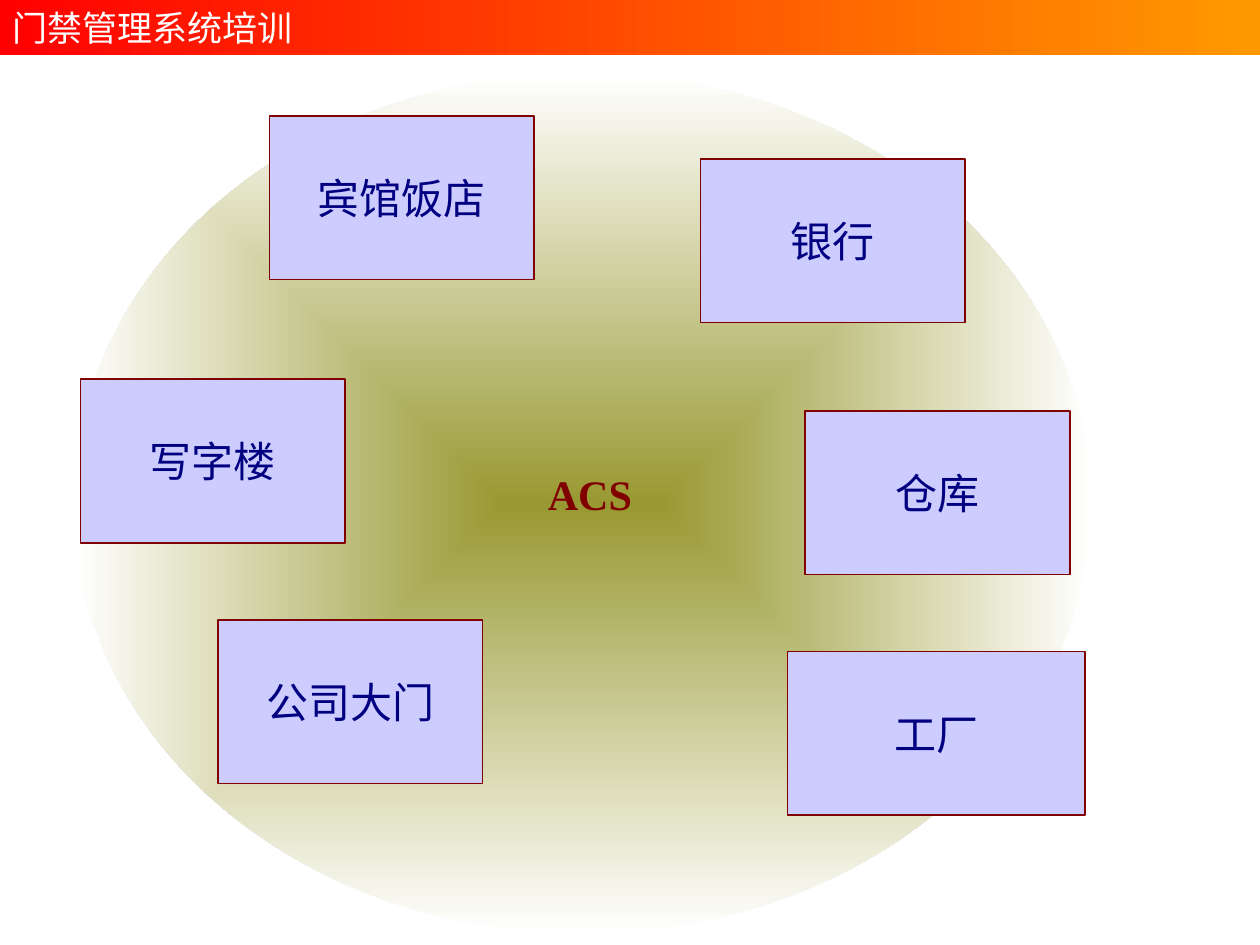
from dataclasses import dataclass

from lxml.etree import SubElement
from pptx import Presentation
from pptx.dml.color import RGBColor
from pptx.enum.shapes import MSO_SHAPE
from pptx.enum.text import MSO_ANCHOR, PP_ALIGN
from pptx.oxml.ns import qn
from pptx.shapes.autoshape import Shape
from pptx.slide import Slide
from pptx.text.text import _Run
from pptx.util import Inches, Pt

COLOURS = {
    "header_right": "FF9900", "header_left": "FF0000", "header_text": "FFFFFF",
    "olive": "999933", "white": "FFFFFF",
    "site_fill": "CCCCFF", "site_text": "000080", "maroon": "800000",
}
SERIF = "Times New Roman"


@dataclass
class Site:
    """A place where access control is used."""
    name: str
    left: float
    top: float
    width: float = 2.1
    height: float = 1.3


SITES = [
    Site("宾馆饭店", 2.14, 0.92),
    Site("写字楼", 0.64, 3.01),
    Site("公司大门", 1.73, 4.92),
    Site("银行", 5.56, 1.26),
    Site("工厂", 6.25, 5.17, width=2.36),
    Site("仓库", 6.39, 3.26),
]


def colour(key: str) -> RGBColor:
    """Return the named colour."""
    return RGBColor.from_string(COLOURS[key])


def add_block(slide: Slide, preset: MSO_SHAPE, left: float, top: float,
              width: float, height: float) -> Shape:
    """Add a preset shape without shadow or outline."""
    block = slide.shapes.add_shape(
        preset, Inches(left), Inches(top), Inches(width), Inches(height))
    block.shadow.inherit = False
    block.line.fill.background()
    return block


def set_gradient(block: Shape, start: str, end: str) -> None:
    """Fill a shape with a two-colour gradient running right to left."""
    block.fill.gradient()
    block.fill.gradient_angle = 180
    for stop, key in zip(block.fill.gradient_stops, (start, end)):
        stop.color.rgb = colour(key)


def radiate_from_centre(block: Shape) -> None:
    """Turn a linear gradient into a rectangular one around the centre."""
    gradient = block._element.spPr.find(qn("a:gradFill"))
    gradient.remove(gradient.find(qn("a:lin")))
    shade = SubElement(gradient, qn("a:path"), {"path": "rect"})
    SubElement(shade, qn("a:fillToRect"), {side: "50000" for side in "ltrb"})


def style_run(run: _Run, size: int, key: str, font: str = SERIF,
              bold: bool = False) -> None:
    """Set the font of a run."""
    run.font.name = font
    run.font.size = Pt(size)
    run.font.bold = bold
    run.font.color.rgb = colour(key)


def add_header(slide: Slide) -> None:
    """Draw the gradient title bar."""
    header = add_block(slide, MSO_SHAPE.RECTANGLE, 0, 0, 10, 0.44)
    set_gradient(header, "header_right", "header_left")
    header.text_frame.vertical_anchor = MSO_ANCHOR.MIDDLE
    title = header.text_frame.paragraphs[0]
    title.alignment = PP_ALIGN.LEFT
    for words, font in (("门禁管理", "Quicksand"), ("系统培训", SERIF)):
        run = title.add_run()
        run.text = words
        style_run(run, 20, "header_text", font)


def add_site(slide: Slide, site: Site) -> None:
    """Draw the labelled box of one site."""
    box = add_block(slide, MSO_SHAPE.RECTANGLE, site.left, site.top,
                    site.width, site.height)
    box.fill.solid()
    box.fill.fore_color.rgb = colour("site_fill")
    box.line.color.rgb = colour("maroon")
    box.line.width = Pt(1)
    box.text_frame.vertical_anchor = MSO_ANCHOR.MIDDLE
    box.text_frame.text = site.name
    label = box.text_frame.paragraphs[0]
    label.alignment = PP_ALIGN.CENTER
    style_run(label.runs[0], 24, "site_text")


def add_hub_label(slide: Slide) -> None:
    """Write the system name in the middle of the ellipse."""
    hub = slide.shapes.add_textbox(
        Inches(4.25), Inches(3.67), Inches(0.87), Inches(0.5))
    hub.text_frame.word_wrap = False
    hub.text_frame.text = "ACS"
    style_run(hub.text_frame.paragraphs[0].runs[0], 24, "maroon", bold=True)


def main() -> None:
    """Build and save the slide."""
    deck = Presentation()
    deck.slide_width, deck.slide_height = Inches(10), Inches(7.5)
    slide = deck.slides.add_slide(deck.slide_layouts[6])
    add_header(slide)
    coverage = add_block(slide, MSO_SHAPE.OVAL, 0.58, 0.58, 8.08, 6.83)
    set_gradient(coverage, "olive", "white")
    radiate_from_centre(coverage)
    for site in SITES:
        add_site(slide, site)
    add_hub_label(slide)
    deck.save("out.pptx")


if __name__ == "__main__":
    main()
